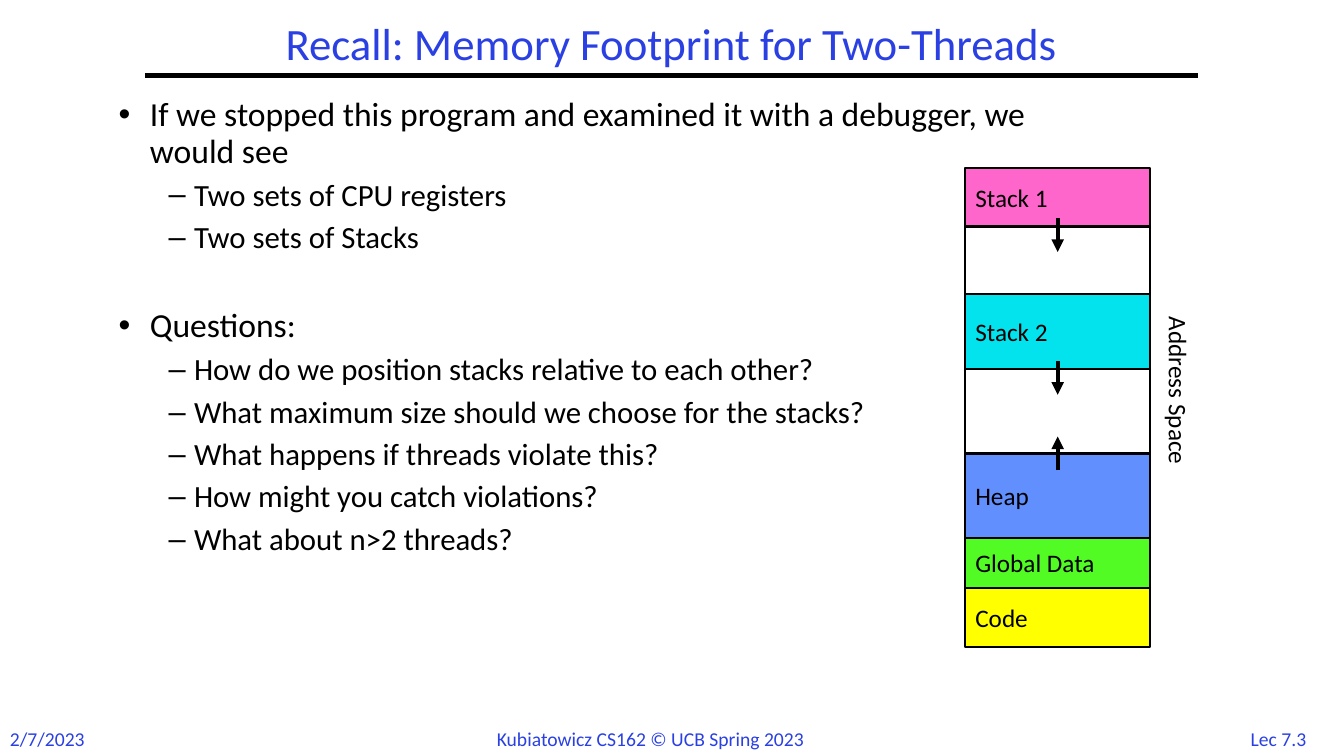
import pptx
import pptx.util
import pptx.dml.color
import pptx.enum.shapes
import pptx.enum.text
import pptx.oxml
import pptx.oxml.ns
from dataclasses import dataclass
from lxml import etree

Cm, Pt = pptx.util.Cm, pptx.util.Pt
ALIGN = pptx.enum.text.PP_ALIGN
ANCHOR = pptx.enum.text.MSO_ANCHOR
KINDS = pptx.enum.shapes


@dataclass(frozen=True)
class Theme:
    font: str = "Calibri"
    blue: str = "2A40E2"
    ink: str = "000000"
    paper: str = "FFFFFF"
    title: int = 32
    head: int = 24
    sub: int = 22
    label: int = 18
    foot: int = 14
    thin: float = 1.5
    thick: float = 3


def rgb(code):
    return pptx.dml.color.RGBColor.from_string(code)


def child(parent, tag, **attrs):
    return etree.SubElement(parent, pptx.oxml.ns.qn(tag), attrs)


class Deck:
    def __init__(self, theme):
        self.theme = theme
        self.show = pptx.Presentation()
        self.show.slide_width, self.show.slide_height = Cm(33.87), Cm(19.05)
        self.slide = self.show.slides.add_slide(self.show.slide_layouts[5])

    def style(self, para, size, color, align=ALIGN.LEFT):
        para.alignment = align
        for run in para.runs:
            run.font.name = self.theme.font
            run.font.size = Pt(size)
            run.font.color.rgb = rgb(color)

    def title(self, text, x, y, w, h):
        box = self.slide.shapes.title
        box.left, box.top, box.width, box.height = Cm(x), Cm(y), Cm(w), Cm(h)
        frame = box.text_frame
        frame.text = text
        frame.vertical_anchor = ANCHOR.MIDDLE
        para = frame.paragraphs[0]
        para.line_spacing = 0.9
        self.style(para, self.theme.title, self.theme.blue, ALIGN.CENTER)

    def text(self, text, x, y, w, h, size, color, align=ALIGN.LEFT, turn=0):
        box = self.slide.shapes.add_textbox(Cm(x), Cm(y), Cm(w), Cm(h))
        box.rotation = turn
        box.text_frame.word_wrap = True
        box.text_frame.text = text
        self.style(box.text_frame.paragraphs[0], size, color, align)

    def bullets(self, items, x, y, w, h):
        box = self.slide.shapes.add_textbox(Cm(x), Cm(y), Cm(w), Cm(h))
        frame = box.text_frame
        frame.word_wrap = True
        frame.text = "\n".join(text for _, text, _ in items)
        for para, (level, _, gap) in zip(frame.paragraphs, items):
            mark, left, hang, size = (("•", 0.79, 0.79, self.theme.head),
                                      ("–", 1.9, 0.64, self.theme.sub))[level]
            para.level = level
            para.line_spacing = 0.9
            para.space_before = Pt(gap)
            props = para._p.get_or_add_pPr()
            props.set("marL", str(Cm(left)))
            props.set("indent", str(-Cm(hang)))
            child(props, "a:buFont", typeface="Arial")
            child(props, "a:buChar", char=mark)
            self.style(para, size, self.theme.ink)

    def block(self, text, x, y, w, h, fill):
        box = self.slide.shapes.add_shape(
            KINDS.MSO_SHAPE.RECTANGLE, Cm(x), Cm(y), Cm(w), Cm(h))
        box.shadow.inherit = False
        box.fill.solid()
        box.fill.fore_color.rgb = rgb(fill)
        box.line.color.rgb = rgb(self.theme.ink)
        box.line.width = Pt(self.theme.thin)
        if text:
            box.text_frame.text = text
            box.text_frame.vertical_anchor = ANCHOR.MIDDLE
            self.style(box.text_frame.paragraphs[0], self.theme.label, self.theme.ink)

    def line(self, x1, y1, x2, y2, arrow=False):
        line = self.slide.shapes.add_connector(
            KINDS.MSO_CONNECTOR.STRAIGHT, Cm(x1), Cm(y1), Cm(x2), Cm(y2))
        line.line.color.rgb = rgb(self.theme.ink)
        line.line.width = Pt(self.theme.thick)
        if arrow:
            child(line.line._get_or_add_ln(), "a:tailEnd", type="triangle")
        child(line._element.spPr, "a:effectLst")


def main():
    theme = Theme()
    deck = Deck(theme)

    # Title and rule
    deck.title("Recall: Memory Footprint for Two-Threads", 3.66, 0.43, 26.52, 1.47)
    deck.line(3.66, 1.9, 30.2, 1.9)

    # Bullets: level, text, points of space before
    near, far = 6.5, 38.5
    deck.bullets([
        (0, "If we stopped this program and examined it with a debugger, we would see", 0),
        (1, "Two sets of CPU registers", near),
        (1, "Two sets of Stacks", near),
        (0, "Questions:", far),
        (1, "How do we position stacks relative to each other?", near),
        (1, "What maximum size should we choose for the stacks?", near),
        (1, "What happens if threads violate this?", near),
        (1, "How might you catch violations?", near),
        (1, "What about n>2 threads?", near),
    ], 2.74, 2.34, 24.41, 14.17)

    # Address space, top to bottom: name, height, fill
    left, top, width = 24.33, 4.23, 4.65
    parts = [
        ("Stack 1", 1.48, "FF66CC"),
        ("", 1.7, theme.paper),
        ("Stack 2", 1.9, "02E3EE"),
        ("", 2.12, theme.paper),
        ("Heap", 2.12, "618FFD"),
        ("Global Data", 1.27, "53FB25"),
        ("Code", 1.48, "FFFF00"),
    ]
    edge = top
    for name, high, fill in parts:
        deck.block(name, left, edge, width, high, fill)
        edge += high

    # Growth arrows
    mid = left + width / 2
    for start, end in ((5.5, 6.35), (9.1, 9.95), (11.85, 11)):
        deck.line(mid, start, mid, end, arrow=True)
    deck.text("Address Space", 27.28, 9.65, 4.85, 1.02, theme.label, theme.ink, turn=90)

    # Footer
    for text, x, w, align in (
            ("2/7/2023", 0, 2.6, ALIGN.LEFT),
            ("Kubiatowicz CS162 © UCB Spring 2023", 12.27, 9.35, ALIGN.LEFT),
            ("Lec 7.3", 30.99, 2.46, ALIGN.CENTER)):
        deck.text(text, x, 18.19, w, 0.86, theme.foot, theme.blue, align)

    deck.show.save("out.pptx")


if __name__ == "__main__":
    main()
